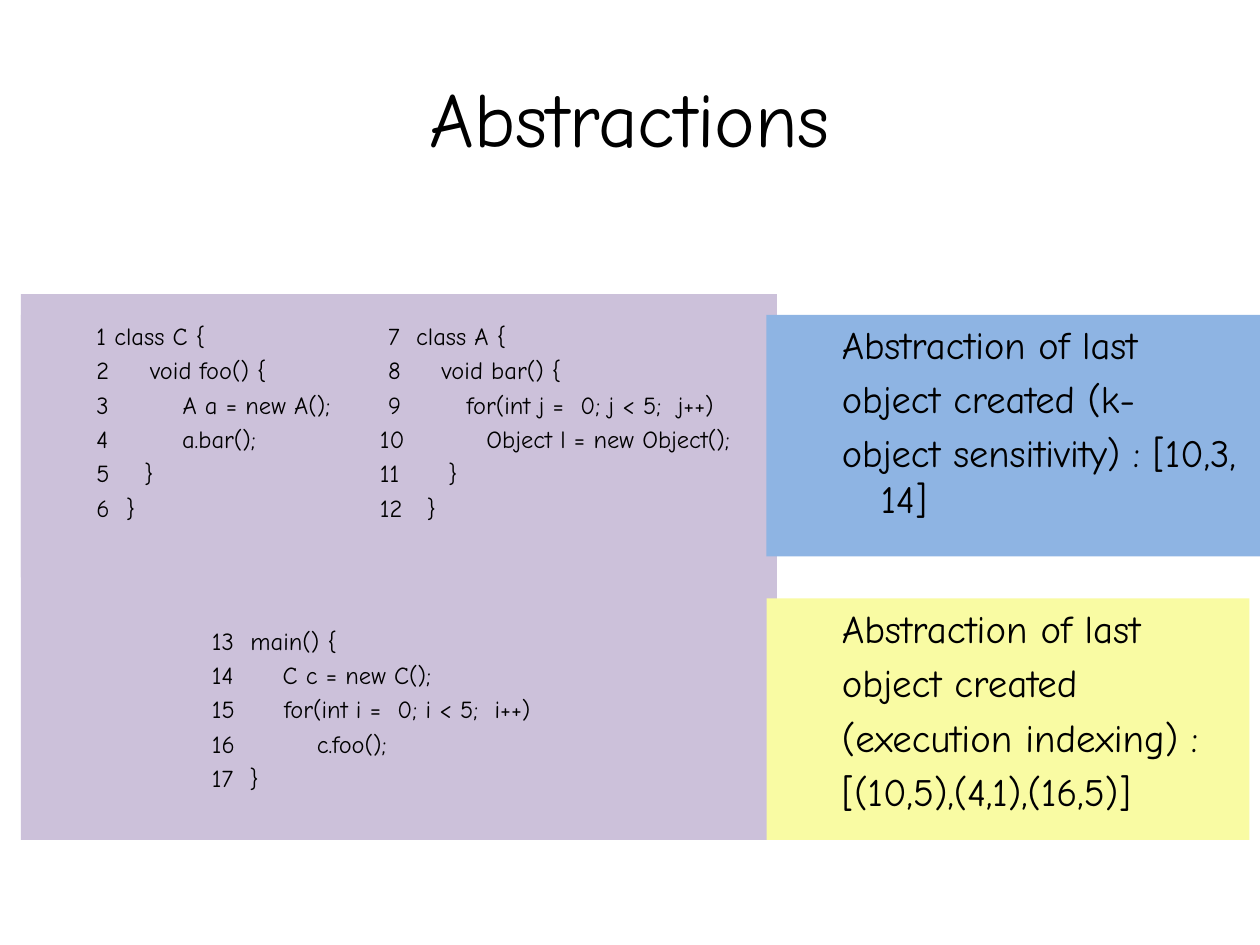
from lxml.etree import SubElement
from pptx import Presentation
from pptx.dml.color import RGBColor
from pptx.enum.shapes import MSO_SHAPE as Shape
from pptx.enum.text import MSO_ANCHOR as Anchor, PP_ALIGN as Align
from pptx.oxml.ns import qn
from pptx.util import Inches, Pt

FONT = "Comic Neue"
CELL = Inches(1 / 12)
LILAC, BLUE, YELLOW = "CCC1DA", "8EB4E3", "F9FBA3"
NARROW, WIDE = 0.31, 0.38
TEXT_START = 0.5

CLASS_C = ["1 class C {", "2     void foo() {", "3         A a = new A();",
           "4         a.bar();", "}", "6  }"]
CLASS_A = [" 7  class A {", " 8     void bar() {",
           " 9        for(int j =  0; j < 5;  j++)",
           "10          Object l = new Object();", "11      }", "12   }"]
MAIN = ["13  main() {", "14      C c = new C();",
        "15      for(int i =  0; i < 5;  i++)", "16          c.foo();", "17  }"]
SENSITIVITY = ["Abstraction of last", "object created (k-",
               "object sensitivity) : [10,3, 14]"]
INDEXING = ["Abstraction of last", "object created",
            "(execution indexing) :", "[(10,5),(4,1),(16,5)]"]


def color(value):
    """Turn a hex string into a colour."""
    return RGBColor.from_string(value)


def grid(*cells):
    """Convert grid cells, twelve to the inch, into lengths."""
    return [int(cell * CELL) for cell in cells]


def style_runs(paragraph, size):
    """Format every run of a paragraph."""
    for run in paragraph.runs:
        run.font.name = FONT
        run.font.size = Pt(size)
        run.font.color.rgb = color("000000")


def add_title(slide, text):
    """Add the centred heading."""
    frame = slide.shapes.add_textbox(*grid(6, 3.6, 108, 15)).text_frame
    frame.word_wrap = True
    frame.vertical_anchor = Anchor.MIDDLE
    frame.text = text
    paragraph = frame.paragraphs[0]
    paragraph.alignment = Align.CENTER
    style_runs(paragraph, 44)


def add_panel(slide, cells, fill):
    """Add a plain filled rectangle."""
    shape = slide.shapes.add_shape(Shape.RECTANGLE, *grid(*cells))
    shape.shadow.inherit = False
    shape.fill.solid()
    shape.fill.fore_color.rgb = color(fill)
    shape.line.fill.background()
    return shape


def set_layout(paragraph, hang, number=None):
    """Set the hanging indent, relative spacing and optional line number."""
    paragraph.alignment = Align.LEFT
    paragraph.level = 1
    properties = paragraph._p.get_or_add_pPr()
    properties.set("marL", str(Inches(TEXT_START + hang)))
    properties.set("indent", str(-Inches(hang)))
    spacing = SubElement(properties, qn("a:spcBef"))
    SubElement(spacing, qn("a:spcPct"), val="20000")
    if number:
        SubElement(properties, qn("a:buFont"), typeface=FONT)
        SubElement(properties, qn("a:buAutoNum"), type="arabicPlain",
                   startAt=str(number))
    else:
        SubElement(properties, qn("a:buNone"))


def add_listing(slide, cells, fill, lines, size, wide_from=None, numbered=None):
    """Add a panel of lines, with a wider hang from one line onward."""
    frame = add_panel(slide, cells, fill).text_frame
    frame.word_wrap = True
    frame.vertical_anchor = Anchor.TOP
    frame.text = "\n".join(lines)
    for number, paragraph in enumerate(frame.paragraphs, 1):
        hang = WIDE if wide_from and number >= wide_from else NARROW
        set_layout(paragraph, hang, number if number == numbered else None)
        style_runs(paragraph, size)


def main():
    """Build and save the slide."""
    presentation = Presentation()
    presentation.slide_width, presentation.slide_height = grid(120, 90)
    slide = presentation.slides.add_slide(presentation.slide_layouts[6])
    add_title(slide, "Abstractions")
    add_panel(slide, (2, 28, 72, 52), LILAC)
    add_listing(slide, (29, 30, 45, 23), LILAC, CLASS_A, 14, wide_from=3)
    add_listing(slide, (2, 30, 33, 25), LILAC, CLASS_C, 14, wide_from=5, numbered=5)
    add_listing(slide, (13, 59, 43, 20), LILAC, MAIN, 14)
    add_listing(slide, (73, 30, 47, 23), BLUE, SENSITIVITY, 22)
    add_listing(slide, (73, 57, 46, 23), YELLOW, INDEXING, 22.2)
    presentation.save("out.pptx")


if __name__ == "__main__":
    main()
